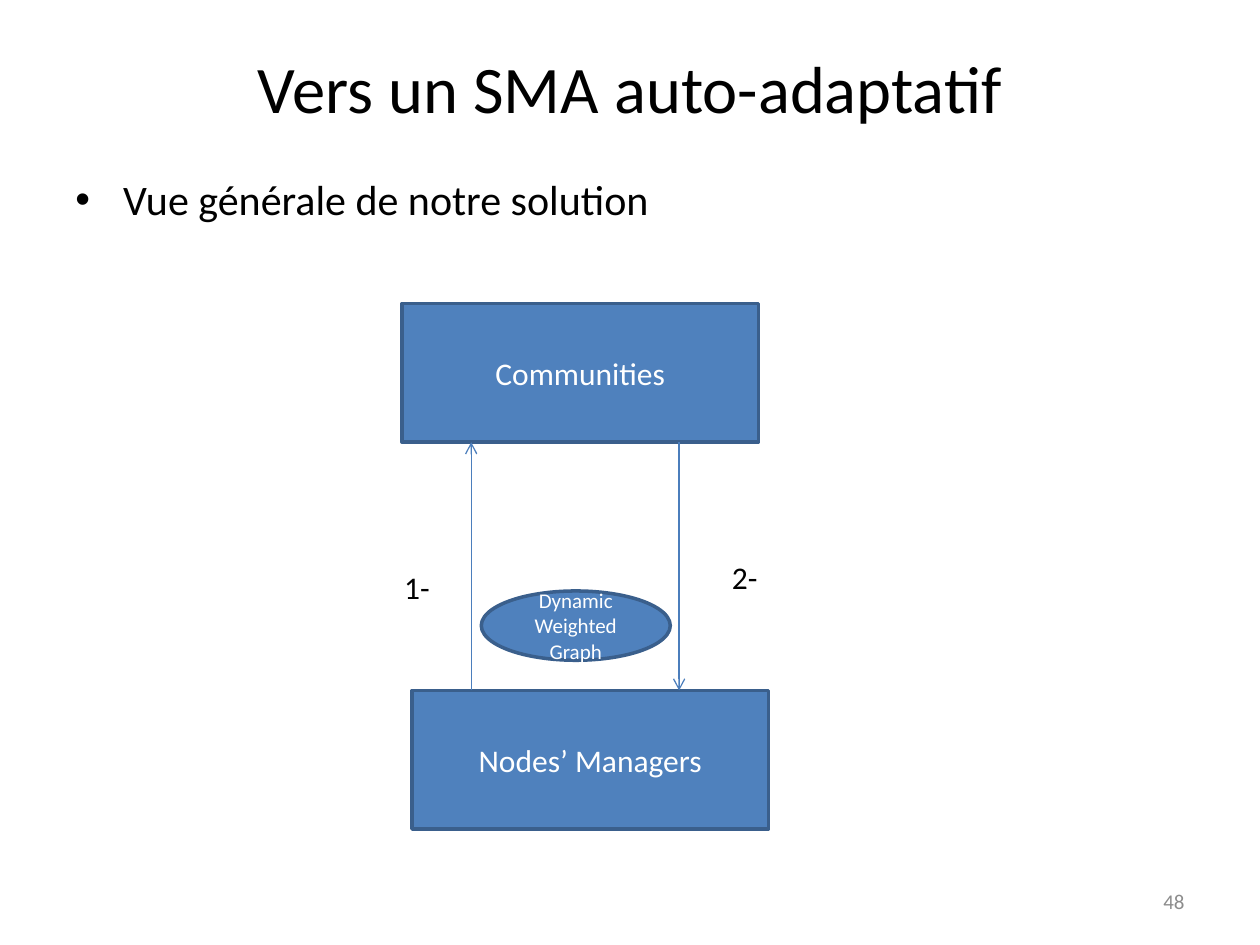
from lxml.etree import SubElement
from pptx import Presentation
from pptx.dml.color import RGBColor
from pptx.enum.shapes import MSO_CONNECTOR, MSO_SHAPE
from pptx.enum.text import MSO_ANCHOR, MSO_AUTO_SIZE, PP_ALIGN
from pptx.oxml.ns import qn
from pptx.util import Inches, Pt

COLOURS = {
    "text": "000000",
    "number": "8C8C8C",
    "on_fill": "FFFFFF",
    "fill": "4F81BD",
    "outline": "3A5F8C",
    "arrow": "4B7EBC",
}
COLUMNS, ROWS = 100, 75
TITLE_ONLY = 5


def colour(name):
    return RGBColor.from_string(COLOURS[name])


class SlideBuilder:
    """Places styled elements on a grid of 100 columns by 75 rows."""

    font = "Calibri"

    def __init__(self, deck):
        self.slide = deck.slides.add_slide(deck.slide_layouts[TITLE_ONLY])
        self.column = deck.slide_width / COLUMNS
        self.row = deck.slide_height / ROWS

    def cells(self, *grid):
        """Turn alternating columns and rows into lengths."""
        return [round(value * (self.row if i % 2 else self.column))
                for i, value in enumerate(grid)]

    def fill_text(self, shape, text, size, ink="text", align=PP_ALIGN.LEFT, **frame_format):
        frame = shape.text_frame
        frame.text = text
        settings = {"word_wrap": True, "auto_size": MSO_AUTO_SIZE.NONE, **frame_format}
        for name, value in settings.items():
            setattr(frame, name, value)
        paragraph = frame.paragraphs[0]
        paragraph.alignment = align
        font = paragraph.runs[0].font
        for name, value in {"name": self.font, "size": Pt(size)}.items():
            setattr(font, name, value)
        font.color.rgb = colour(ink)
        return paragraph

    def title(self, text, grid):
        heading = self.slide.shapes.title
        sides = ("left", "top", "width", "height")
        for side, length in zip(sides, self.cells(*grid)):
            setattr(heading, side, length)
        self.fill_text(heading, text, 38, align=PP_ALIGN.CENTER,
                       vertical_anchor=MSO_ANCHOR.MIDDLE)

    def text(self, text, grid, size, **options):
        box = self.slide.shapes.add_textbox(*self.cells(*grid))
        return self.fill_text(box, text, size, **options)

    def bullet(self, text, grid):
        paragraph = self.text(text, grid, 24)
        paragraph.space_before = Pt(4.8)
        properties = paragraph._p.get_or_add_pPr()
        indent = Inches(0.38)
        properties.set("marL", str(indent))
        properties.set("indent", str(-indent))
        SubElement(properties, qn("a:buFont"), typeface="Arial")
        SubElement(properties, qn("a:buChar"), char="•")

    def node(self, text, grid, size=18, kind=MSO_SHAPE.RECTANGLE):
        shape = self.slide.shapes.add_shape(kind, *self.cells(*grid))
        shape.shadow.inherit = False
        shape.fill.solid()
        shape.fill.fore_color.rgb = colour("fill")
        shape.line.color.rgb = colour("outline")
        shape.line.width = Pt(2)
        self.fill_text(shape, text, size, ink="on_fill", align=PP_ALIGN.CENTER,
                       vertical_anchor=MSO_ANCHOR.MIDDLE)

    def arrow(self, column, start_row, end_row):
        ends = self.cells(column, start_row, column, end_row)
        link = self.slide.shapes.add_connector(MSO_CONNECTOR.STRAIGHT, *ends)
        link.line.color.rgb = colour("arrow")
        link.line.width = Pt(0.75)
        properties = link._element.spPr
        SubElement(properties.find(qn("a:ln")), qn("a:tailEnd"), type="arrow")
        SubElement(properties, qn("a:effectLst"))


def main():
    deck = Presentation()
    deck.slide_width, deck.slide_height = Inches(10), Inches(7.5)
    page = SlideBuilder(deck)

    page.title("Vers un SMA auto-adaptatif", (5, 3, 90, 7.8))
    page.bullet("Vue générale de notre solution", (5, 13.3, 90, 53.7))
    page.text("48", (71.7, 69.5, 23.3, 4), 12, ink="number", align=PP_ALIGN.RIGHT,
              vertical_anchor=MSO_ANCHOR.MIDDLE)

    box_width, box_height = 28.3, 11
    communities_top, managers_top = 24.1, 54.8
    communities_bottom = communities_top + box_height
    page.node("Communities", (31.9, communities_top, box_width, box_height))
    page.node("Nodes’ Managers", (32.7, managers_top, box_width, box_height))
    page.arrow(37.4, managers_top, communities_bottom)
    page.arrow(53.9, communities_bottom, managers_top)
    page.node("Dynamic Weighted Graph", (38.2, 46.9, 15, 5.5), 12, MSO_SHAPE.OVAL)

    for step, left, top in (("1-", 31.1, 44.6), ("2-", 57.1, 43.8)):
        page.text(step, (left, top, 4.1, 4), 18, word_wrap=False,
                  auto_size=MSO_AUTO_SIZE.SHAPE_TO_FIT_TEXT)

    deck.save("out.pptx")


if __name__ == "__main__":
    main()
